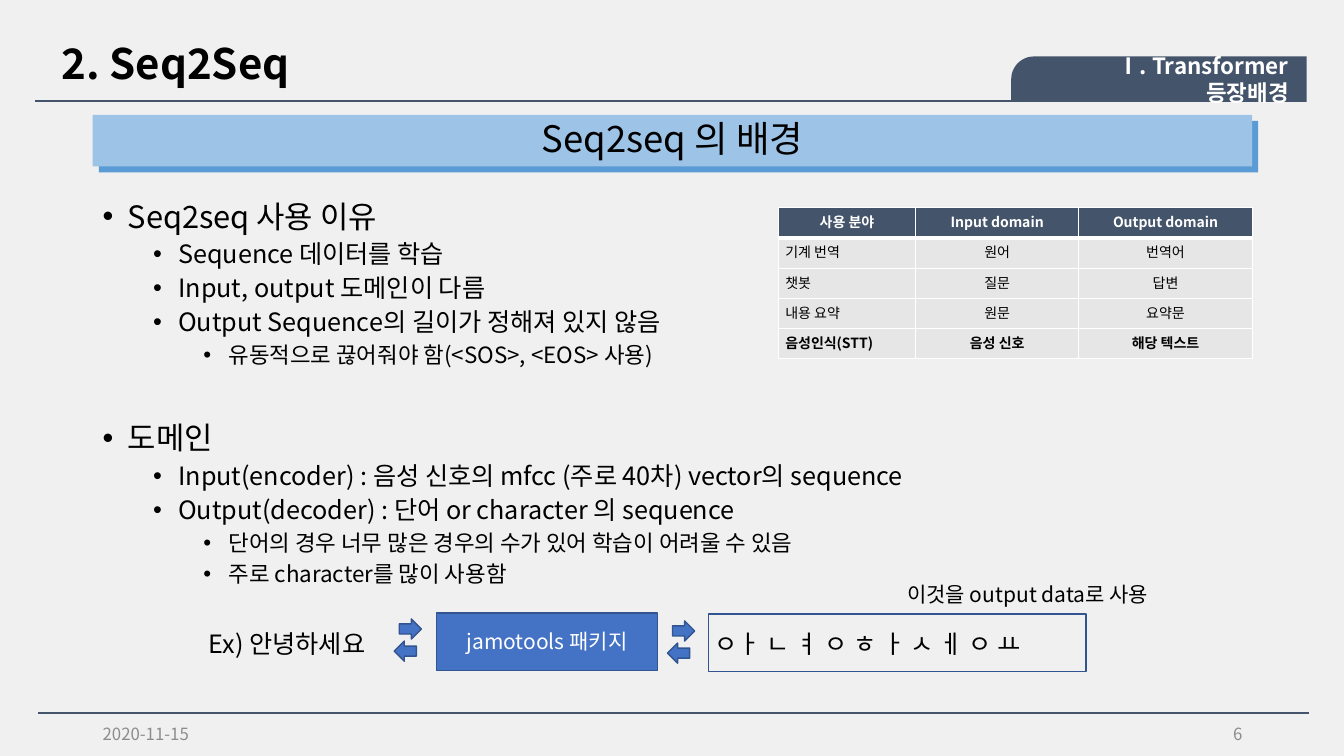
from lxml import etree
from pptx import Presentation
from pptx.dml.color import RGBColor
from pptx.enum.shapes import MSO_CONNECTOR, MSO_SHAPE
from pptx.enum.text import MSO_ANCHOR, PP_ALIGN
from pptx.oxml.ns import qn
from pptx.util import Inches, Pt

LEFT, CENTER, RIGHT = PP_ALIGN.LEFT, PP_ALIGN.CENTER, PP_ALIGN.RIGHT
TOP, MIDDLE = MSO_ANCHOR.TOP, MSO_ANCHOR.MIDDLE
RECTANGLE, TAB = MSO_SHAPE.RECTANGLE, MSO_SHAPE.ROUND_1_RECTANGLE
RIGHT_ARROW, LEFT_ARROW = MSO_SHAPE.RIGHT_ARROW, MSO_SHAPE.LEFT_ARROW
STRAIGHT = MSO_CONNECTOR.STRAIGHT
FONT = "Noto Sans CJK KR"
COLORS = {
    "background": "F0F0F0", "black": "000000", "white": "FFFFFF",
    "slate": "44546A", "grey": "8C8C8C", "cell": "E7E6E6",
    "banner": "9DC3E6", "banner_back": "5B9BD5",
    "blue": "4472C4", "outline": "325491",
}
RGB = {name: RGBColor.from_string(value) for name, value in COLORS.items()}


def style(para, size, color="black", align=LEFT, bold=False):
    para.alignment = align
    for span in para.runs:
        span.font.name = FONT
        span.font.size = Pt(size)
        span.font.bold = bold
        span.font.color.rgb = RGB[color]
        etree.SubElement(span._r.get_or_add_rPr(), qn("a:ea"), typeface=FONT)


def add_block(kind, left, top, width, height, fill=None, line=None):
    block = slide.shapes.add_shape(kind, Inches(left), Inches(top), Inches(width), Inches(height))
    block.shadow.inherit = False
    if fill:
        block.fill.solid()
        block.fill.fore_color.rgb = RGB[fill]
    else:
        block.fill.background()
    if line:
        block.line.color.rgb = RGB[line]
        block.line.width = Pt(1)
    else:
        block.line.fill.background()
    return block


deck = Presentation()
deck.slide_width, deck.slide_height = Inches(13.33), Inches(7.5)
slide = deck.slides.add_slide(deck.slide_layouts[5])
slide.background.fill.solid()
slide.background.fill.fore_color.rgb = RGB["background"]

title = slide.shapes.title
title.left, title.top, title.width, title.height = Inches(0.51), Inches(0.38), Inches(4.9), Inches(0.57)
title.text_frame.text = "2. Seq2Seq"
title.text_frame.vertical_anchor = TOP
title.text_frame.paragraphs[0].line_spacing = 0.9
style(title.text_frame.paragraphs[0], 30, bold=True)

tab = add_block(TAB, 10.03, 0.56, 2.93, 0.45, "slate")
tab.adjustments[0] = 0.5
tab._element.spPr.xfrm.set("flipH", "1")

for left, top in [(0.35, 1), (0.38, 7.07)]:
    rule = slide.shapes.add_connector(STRAIGHT, Inches(left), Inches(top), Inches(left + 12.6), Inches(top))
    rule.line.color.rgb = RGB["slate"]
    rule.line.width = Pt(1.5)
    etree.SubElement(rule._element.spPr, qn("a:effectLst"))

add_block(RECTANGLE, 0.98, 1.2, 11.5, 0.51, "banner_back")
banner = add_block(RECTANGLE, 0.92, 1.14, 11.5, 0.51, "banner")
banner.text_frame.text = "Seq2seq 의 배경"
banner.text_frame.paragraphs[0].line_spacing = 0.9
style(banner.text_frame.paragraphs[0], 26, align=CENTER)

package_box = add_block(RECTANGLE, 4.33, 6.08, 2.19, 0.57, "blue", "outline")
package_box.text_frame.text = "jamotools 패키지"
style(package_box.text_frame.paragraphs[0], 15, "white", CENTER)
add_block(RECTANGLE, 7.03, 6.09, 3.74, 0.57, line="outline")

for left, top in [(3.96, 6.14), (6.67, 6.16)]:
    add_block(RIGHT_ARROW, left, top, 0.22, 0.2, "blue", "outline")
    add_block(LEFT_ARROW, left - 0.05, top + 0.22, 0.22, 0.2, "blue", "outline")

labels = [
    ("2020-11-15", 0.92, 7.08, 3, 0.4, 12, "grey", LEFT, False, MIDDLE),
    ("6", 9.42, 7.08, 3, 0.4, 12, "grey", RIGHT, False, MIDDLE),
    ("Ⅰ. Transformer 등장배경", 10.18, 0.6, 2.7, 0.37, 16, "white", RIGHT, True, MIDDLE),
    ("Ex) 안녕하세요", 1.97, 6.18, 2.03, 0.4, 18, "black", LEFT, False, TOP),
    ("ㅇㅏ ㄴ ㅕ ㅇ ㅎ ㅏ ㅅ ㅔ ㅇ ㅛ", 6.99, 6.18, 3.78, 0.4, 18, "black", LEFT, False, TOP),
    ("이것을 output data로 사용", 8.9, 5.72, 2.73, 0.35, 15, "black", LEFT, False, TOP),
]
for text, left, top, width, height, size, color, align, bold, anchor in labels:
    box = slide.shapes.add_textbox(Inches(left), Inches(top), Inches(width), Inches(height))
    box.text_frame.word_wrap = True
    box.text_frame.vertical_anchor = anchor
    box.text_frame.text = text
    style(box.text_frame.paragraphs[0], size, color, align, bold)

outline = [
    (0, "Seq2seq 사용 이유", 10),
    (1, "Sequence 데이터를 학습", 5),
    (1, "Input, output 도메인이 다름", 5),
    (1, "Output Sequence의 길이가 정해져 있지 않음", 5),
    (2, "유동적으로 끊어줘야 함(<SOS>, <EOS> 사용)", 5),
    (0, "도메인", 39),
    (1, "Input(encoder) : 음성 신호의 mfcc (주로 40차) vector의 sequence", 5),
    (1, "Output(decoder) : 단어 or character 의 sequence", 5),
    (2, "단어의 경우 너무 많은 경우의 수가 있어 학습이 어려울 수 있음", 5),
    (2, "주로 character를 많이 사용함", 5),
]
body = slide.shapes.add_textbox(Inches(0.92), Inches(1.95), Inches(11.5), Inches(3.87))
body.text_frame.word_wrap = True
body.text_frame.text = "\n".join(text for level, text, gap in outline)
for para, (level, text, gap) in zip(body.text_frame.paragraphs, outline):
    style(para, (22, 18, 16)[level])
    para.level = level
    para.line_spacing = 0.9
    para.space_before = Pt(gap)
    properties = para._p.get_or_add_pPr()
    properties.set("marL", str(Inches(0.25 + 0.5 * level)))
    properties.set("indent", str(Inches(-0.25)))
    etree.SubElement(properties, qn("a:buFont"), typeface="Arial")
    etree.SubElement(properties, qn("a:buChar"), char="•")

domains = [
    ("사용 분야", "Input domain", "Output domain"),
    ("기계 번역", "원어", "번역어"),
    ("챗봇", "질문", "답변"),
    ("내용 요약", "원문", "요약문"),
    ("음성인식(STT)", "음성 신호", "해당 텍스트"),
]
table = slide.shapes.add_table(5, 3, Inches(7.72), Inches(2.06), Inches(4.7), Inches(1.5)).table
for column, width in zip(table.columns, (1.36, 1.62, 1.72)):
    column.width = Inches(width)
for row, texts in enumerate(domains):
    table.rows[row].height = Inches(0.3)
    for column, text in enumerate(texts):
        cell = table.cell(row, column)
        cell.margin_left = cell.margin_right = Inches(0.07)
        cell.margin_top = cell.margin_bottom = Inches(0.04)
        for side in ("lnL", "lnR", "lnT", "lnB"):
            thick = (row, side) in [(0, "lnB"), (1, "lnT")]
            border = etree.SubElement(cell._tc.get_or_add_tcPr(), qn("a:" + side), w=str(Pt(3 if thick else 1)))
            paint = etree.SubElement(border, qn("a:solidFill"))
            etree.SubElement(paint, qn("a:srgbClr"), val=COLORS["white"])
        cell.fill.solid()
        cell.fill.fore_color.rgb = RGB["cell" if row else "slate"]
        cell.text_frame.text = text
        style(cell.text_frame.paragraphs[0], 10, "black" if row else "white",
              LEFT if row and column == 0 else CENTER, row in (0, 4))

deck.save("out.pptx")
